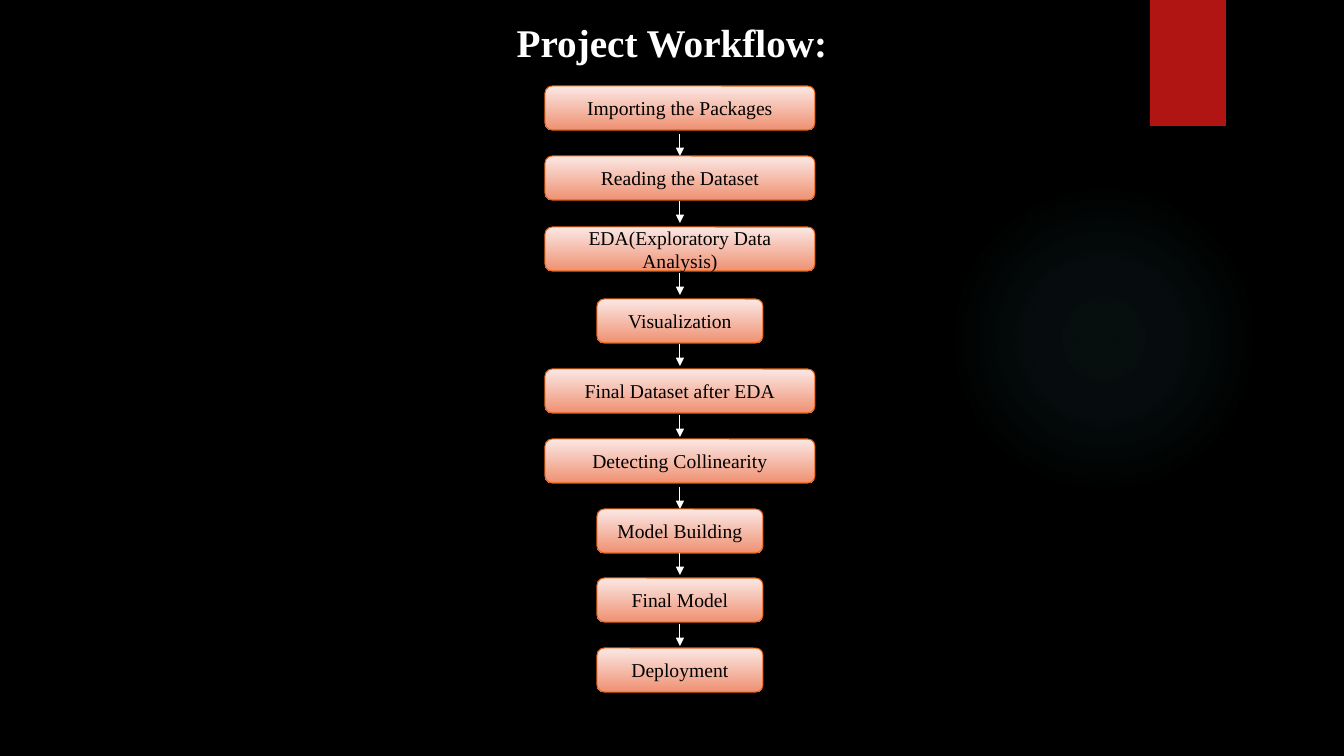
from lxml import etree
from pptx import Presentation
from pptx.dml.color import RGBColor
from pptx.enum.shapes import MSO_CONNECTOR as CONNECTOR, MSO_SHAPE as SHAPE
from pptx.enum.text import MSO_ANCHOR as ANCHOR, PP_ALIGN as ALIGN
from pptx.oxml import parse_xml
from pptx.oxml.ns import nsdecls, qn
from pptx.util import Pt

# Content: step, width, top of the box, top of the arrow below it (px)
TITLE = "Project Workflow:"
WIDE, NARROW = 270, 166
STEPS = [
    ("Importing the Packages", WIDE, 86, 134),
    ("Reading the Dataset", WIDE, 156, 201),
    ("EDA(Exploratory Data Analysis)", WIDE, 227, 273),
    ("Visualization", NARROW, 299, 344),
    ("Final Dataset after EDA", WIDE, 369, 415),
    ("Detecting Collinearity", WIDE, 439, 487),
    ("Model Building", NARROW, 509, 553),
    ("Final Model", NARROW, 578, 624),
    ("Deployment", NARROW, 648, None),
]
GLOW_STOPS = [(0, 7), (36, 6), (69, 0)]  # position %, opacity %

# Look and layout
COLORS = {
    "background": "000000", "glow": "50B9C1", "ribbon": "B01513",
    "title": "FFFFFF", "arrow": "FFFFFF", "text": "000000",
    "box_top": "FBE8E4", "box_bottom": "EF9173", "box_line": "EA6312",
}
FONT = "Times New Roman"
SLIDE_WIDTH, SLIDE_HEIGHT = 1344, 756
CENTER = 680
BOX_HEIGHT = 44
ARROW_LENGTH = 22


def px(length):
    return round(length * 12192000 / SLIDE_WIDTH)


def color(name):
    return RGBColor.from_string(COLORS[name])


def write(shape, text, size, color_name, bold=False):
    frame = shape.text_frame
    frame.word_wrap = True
    frame.vertical_anchor = ANCHOR.MIDDLE
    paragraph = frame.paragraphs[0]
    paragraph.alignment = ALIGN.CENTER
    run = paragraph.add_run()
    run.text = text
    run.font.name = FONT
    run.font.size = Pt(size)
    run.font.bold = bold
    run.font.color.rgb = color(color_name)


def add_shape(slide, kind, left, top, width, height):
    shape = slide.shapes.add_shape(kind, px(left), px(top), px(width), px(height))
    shape.shadow.inherit = False
    shape.line.fill.background()
    return shape


def add_glow(slide):
    glow = add_shape(slide, SHAPE.OVAL, 949, 184, 310, 310)
    glow.fill.background()
    stops = "".join(
        f'<a:gs pos="{position * 1000}"><a:srgbClr val="{COLORS["glow"]}">'
        f'<a:alpha val="{opacity * 1000}"/></a:srgbClr></a:gs>'
        for position, opacity in GLOW_STOPS
    )
    gradient = parse_xml(
        f'<a:gradFill {nsdecls("a")}><a:gsLst>{stops}</a:gsLst><a:path path="circle">'
        '<a:fillToRect l="50000" t="50000" r="50000" b="50000"/></a:path></a:gradFill>'
    )
    properties = glow.element.spPr
    properties.replace(properties.find(qn("a:noFill")), gradient)


def add_step(slide, text, width, top):
    box = add_shape(slide, SHAPE.ROUNDED_RECTANGLE,
                    CENTER - width / 2, top, width, BOX_HEIGHT)
    box.fill.gradient()
    box.fill.gradient_angle = 270
    for stop, name in zip(box.fill.gradient_stops, ("box_top", "box_bottom")):
        stop.color.rgb = color(name)
    box.line.color.rgb = color("box_line")
    box.line.width = Pt(0.75)
    write(box, text, 14, "text")


def add_arrow(slide, top):
    arrow = slide.shapes.add_connector(
        CONNECTOR.STRAIGHT, px(CENTER), px(top), px(CENTER), px(top + ARROW_LENGTH))
    arrow.line.color.rgb = color("arrow")
    arrow.line.width = Pt(0.75)
    properties = arrow.element.spPr
    etree.SubElement(properties.find(qn("a:ln")), qn("a:tailEnd"), type="triangle")
    etree.SubElement(properties, qn("a:effectLst"))


def main():
    presentation = Presentation()
    presentation.slide_width = px(SLIDE_WIDTH)
    presentation.slide_height = px(SLIDE_HEIGHT)
    slide = presentation.slides.add_slide(presentation.slide_layouts[5])
    slide.background.fill.solid()
    slide.background.fill.fore_color.rgb = color("background")

    # Decoration
    add_glow(slide)
    ribbon = add_shape(slide, SHAPE.RECTANGLE, 1150, 0, 76, 126)
    ribbon.fill.solid()
    ribbon.fill.fore_color.rgb = color("ribbon")

    # Title
    title = slide.shapes.title
    title.left, title.top = px(118), px(13)
    title.width, title.height = px(1108), px(58)
    write(title, TITLE, 28, "title", bold=True)

    # Workflow
    for text, width, top, arrow_top in STEPS:
        add_step(slide, text, width, top)
        if arrow_top is not None:
            add_arrow(slide, arrow_top)

    presentation.save("out.pptx")


if __name__ == "__main__":
    main()
